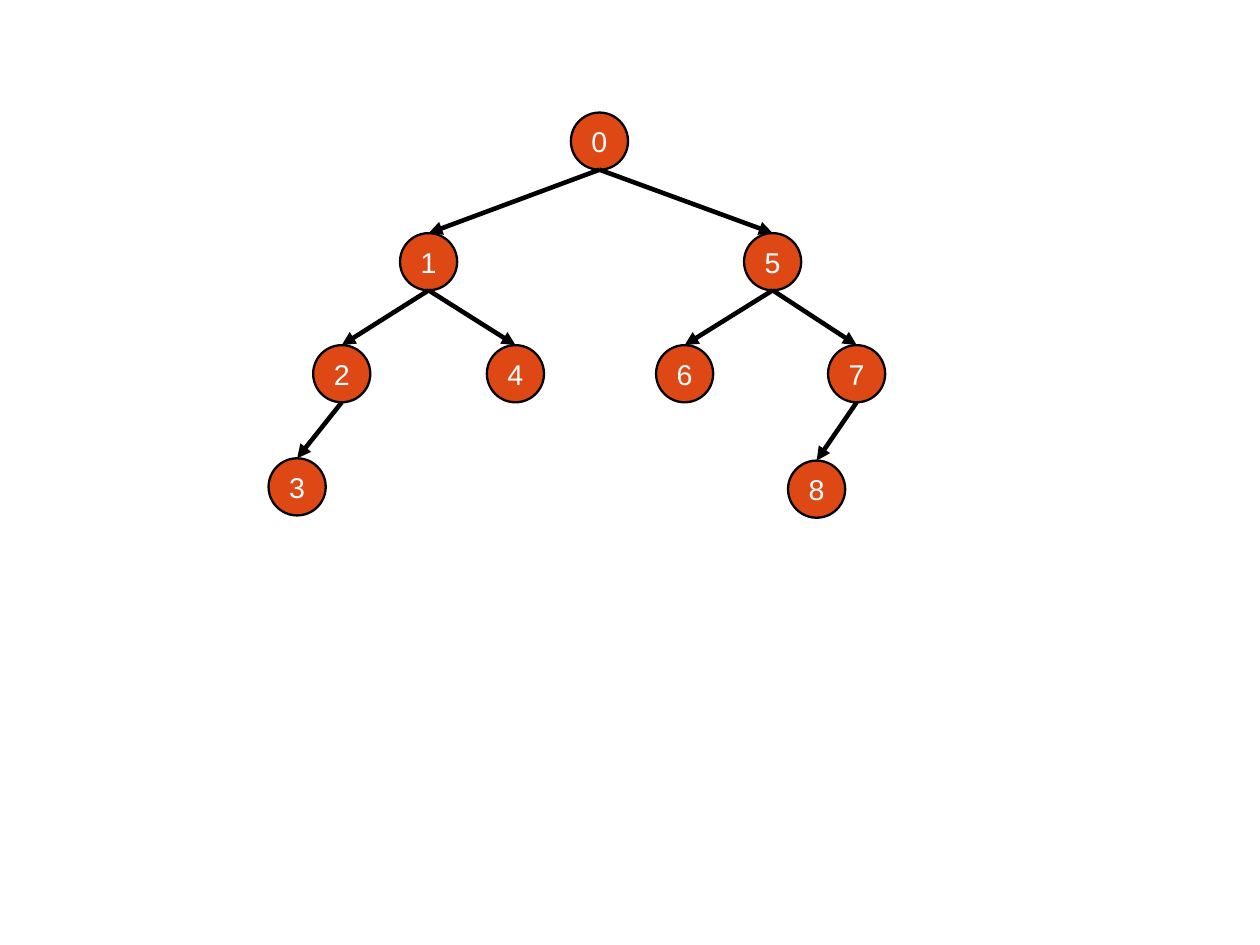
"""Build a slide with a binary tree of nodes numbered in preorder."""
from lxml.etree import SubElement
from pptx import Presentation
from pptx.dml.color import RGBColor
from pptx.enum.shapes import MSO_CONNECTOR as Connector, MSO_SHAPE as Shape
from pptx.enum.text import MSO_ANCHOR as Anchor, PP_ALIGN as Align
from pptx.oxml.ns import qn
from pptx.util import Cm, Inches, Pt

COLORS = {"node": "DD4814", "line": "000000", "label": "FFFFFF"}
GRID_UNIT = 0.5
NODES = {
    "0": (10.49, 1.97),
    "1": (7.5, 4.08),
    "5": (13.52, 4.08),
    "2": (5.98, 6.04),
    "4": (9.02, 6.04),
    "6": (11.98, 6.04),
    "7": (14.99, 6.04),
    "3": (5.2, 8.02),
    "8": (14.29, 8.06),
}
CHILDREN = {"0": "15", "1": "24", "2": "3", "5": "67", "7": "8"}


def color(name):
    """Look up a colour by its role."""
    return RGBColor.from_string(COLORS[name])


def grid(units):
    """Convert grid units, one node diameter each, to a length."""
    return Inches(units * GRID_UNIT)


def add_node(slide, label, column, row):
    """Draw a labelled circle centred on a column, with its top on a row."""
    shape = slide.shapes.add_shape(
        Shape.OVAL, grid(column - 0.5), grid(row), grid(1), grid(1))
    shape.shadow.inherit = False
    shape.fill.solid()
    shape.fill.fore_color.rgb = color("node")
    shape.line.color.rgb = color("line")
    shape.line.width = Pt(1.45)
    frame = shape.text_frame
    frame.word_wrap = False
    frame.vertical_anchor = Anchor.MIDDLE
    frame.margin_left = frame.margin_right = Inches(0.11)
    frame.margin_top = frame.margin_bottom = Inches(0.06)
    paragraph = frame.paragraphs[0]
    paragraph.alignment = Align.CENTER
    run = paragraph.add_run()
    run.text = label
    run.font.name = "Arial"
    run.font.size = Pt(18)
    run.font.color.rgb = color("label")


def add_branch(slide, parent, child):
    """Draw an arrow from the bottom of a parent to the top of a child."""
    start_column, start_row = NODES[parent]
    end_column, end_row = NODES[child]
    branch = slide.shapes.add_connector(
        Connector.STRAIGHT, grid(start_column), grid(start_row + 1),
        grid(end_column), grid(end_row))
    branch.line.color.rgb = color("line")
    branch.line.width = Pt(2.89)
    line = branch._element.spPr.find(qn("a:ln"))
    SubElement(line, qn("a:tailEnd"), type="triangle")
    SubElement(branch._element.spPr, qn("a:effectLst"))


def main():
    """Set up the slide and draw the tree."""
    presentation = Presentation()
    presentation.slide_width = Cm(28)
    presentation.slide_height = Cm(21)
    slide = presentation.slides.add_slide(presentation.slide_layouts[6])
    for label, (column, row) in NODES.items():
        add_node(slide, label, column, row)
    for parent, children in CHILDREN.items():
        for child in children:
            add_branch(slide, parent, child)
    presentation.save("out.pptx")


if __name__ == "__main__":
    main()
